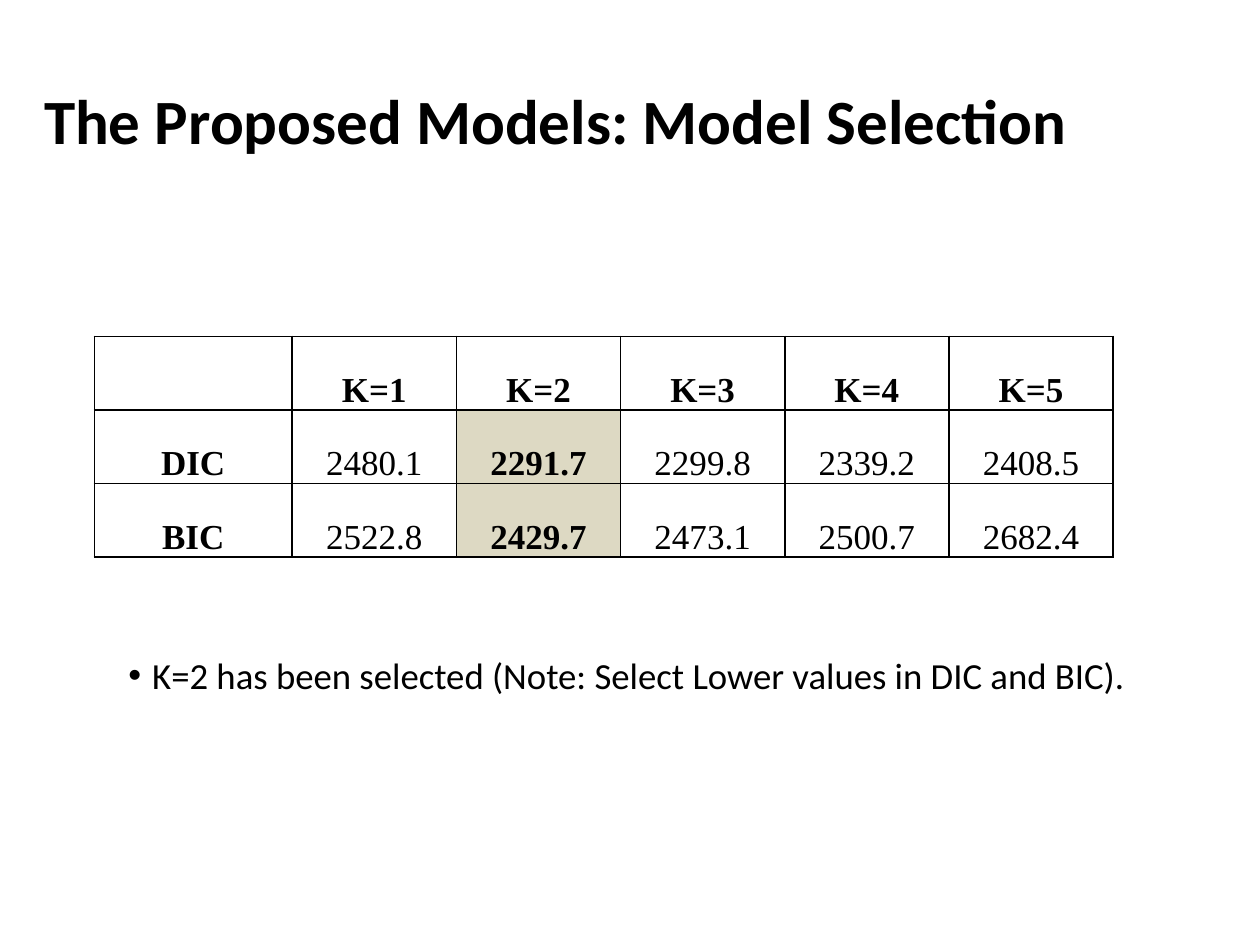
import pptx
import pptx.util
import pptx.dml.color
import pptx.enum.text
import pptx.oxml
import pptx.oxml.ns
from pptx.util import Cm, Pt

COLORS = {"text": "000000", "border": "000000", "cell": "FFFFFF", "selected": "DDD9C3"}
ANCHOR = pptx.enum.text.MSO_ANCHOR
ALIGN = pptx.enum.text.PP_ALIGN


class SlideBuilder:
    """Holds the style and the current slide."""

    heading_font = "Calibri"
    table_font = "Times New Roman"

    def __init__(self, slide):
        self.slide = slide

    def color(self, name):
        return pptx.dml.color.RGBColor.from_string(COLORS[name])

    def run(self, paragraph, wording, font, size, bold=False):
        piece = paragraph.add_run()
        piece.text = wording
        piece.font.name = font
        piece.font.size = Pt(size)
        piece.font.bold = bold
        piece.font.color.rgb = self.color("text")

    def text(self, wording, box, size, bold=False, anchor=ANCHOR.TOP, bullet=False):
        frame = self.slide.shapes.add_textbox(*map(Cm, box)).text_frame
        frame.word_wrap = True
        frame.vertical_anchor = anchor
        paragraph = frame.paragraphs[0]
        paragraph.line_spacing = 0.9
        if bullet:
            self.bullet(paragraph)
        self.run(paragraph, wording, self.heading_font, size, bold)

    def bullet(self, paragraph):
        properties = paragraph._p.get_or_add_pPr()
        properties.set("marL", str(Cm(0.48)))
        properties.set("indent", str(-Cm(0.48)))
        ns = pptx.oxml.ns.nsdecls("a")
        properties.append(pptx.oxml.parse_xml(f'<a:buFont {ns} typeface="Arial"/>'))
        properties.append(pptx.oxml.parse_xml(f'<a:buChar {ns} char="•"/>'))

    def borders(self, cell):
        properties = cell._tc.get_or_add_tcPr()
        for position, side in enumerate("LRTB"):
            properties.insert(position, pptx.oxml.parse_xml(
                f'<a:ln{side} {pptx.oxml.ns.nsdecls("a")} w="{Pt(1)}"><a:solidFill>'
                f'<a:srgbClr val="{COLORS["border"]}"/></a:solidFill></a:ln{side}>'))

    def cell(self, cell, wording, bold, fill):
        cell.fill.solid()
        cell.fill.fore_color.rgb = self.color(fill)
        self.borders(cell)
        cell.vertical_anchor = ANCHOR.BOTTOM
        cell.margin_left = cell.margin_right = Cm(0.18)
        cell.margin_top = cell.margin_bottom = 0
        paragraph = cell.text_frame.paragraphs[0]
        paragraph.alignment = ALIGN.CENTER
        paragraph.line_spacing = 1.15
        if wording:
            self.run(paragraph, wording, self.table_font, 20, bold)

    def table(self, rows, box, widths, selected):
        grid = self.slide.shapes.add_table(len(rows), len(widths), *map(Cm, box)).table
        grid.first_row = grid.horz_banding = False
        for column, width in zip(grid.columns, widths):
            column.width = Cm(width)
        for r, row in enumerate(rows):
            for c, wording in enumerate(row):
                bold = r == 0 or c in (0, selected)
                fill = "selected" if r > 0 and c == selected else "cell"
                self.cell(grid.cell(r, c), wording, bold, fill)


def main():
    deck = pptx.Presentation()
    deck.slide_width, deck.slide_height = Cm(25.4), Cm(19.05)
    builder = SlideBuilder(deck.slides.add_slide(deck.slide_layouts[6]))

    # Title
    builder.text("The Proposed Models: Model Selection", (0.64, 0.79, 24.56, 3.43),
                 36, bold=True, anchor=ANCHOR.MIDDLE)

    # Conclusion
    builder.text("K=2 has been selected (Note: Select Lower values in DIC and BIC).",
                 (2.34, 13.13, 20.96, 1.47), 21, bullet=True)

    # Selection criteria for each K, with K=2 marked
    criteria = [
        ["", *(f"K={k}" for k in range(1, 6))],
        ["DIC", "2480.1", "2291.7", "2299.8", "2339.2", "2408.5"],
        ["BIC", "2522.8", "2429.7", "2473.1", "2500.7", "2682.4"],
    ]
    builder.table(criteria, (1.9, 6.78, 20.53, 4.45), [3.99] + [3.31] * 5, selected=2)

    deck.save("out.pptx")


if __name__ == "__main__":
    main()
